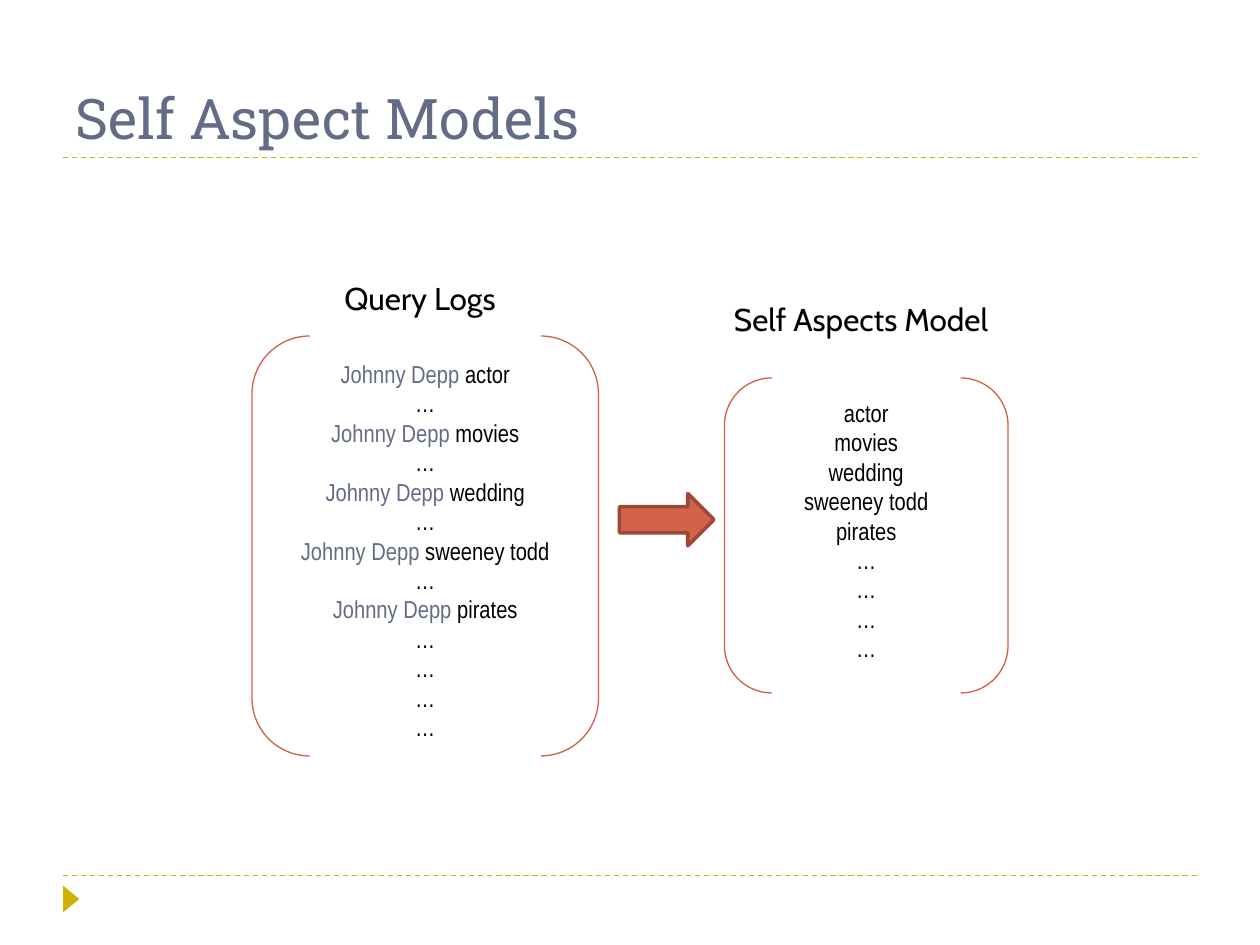
"""Build the Self Aspect Models slide: query logs reduced to an aspects model."""
from dataclasses import dataclass

import pptx
import pptx.dml.color
import pptx.enum.dml
import pptx.enum.shapes
import pptx.enum.text
import pptx.oxml
import pptx.util
from pptx.enum.shapes import MSO_SHAPE
from pptx.enum.text import MSO_ANCHOR, MSO_AUTO_SIZE, PP_ALIGN

COLUMNS, ROWS = 120, 90
WIDTH, HEIGHT = pptx.util.Inches(10), pptx.util.Inches(7.5)
ELLIPSIS = "…"
PERSON = "Johnny Depp "
ASPECTS = ("actor", "movies", "wedding", "sweeney todd", "pirates")


@dataclass(frozen=True)
class Theme:
    title_font: str = "Roboto Slab"
    label_font: str = "Cabin"
    list_font: str = "Arial Narrow"
    title_size: float = 32
    label_size: float = 18
    list_size: float = 14
    thin: float = 0.75
    thick: float = 2
    slate: str = "646B86"
    black: str = "000000"
    gold: str = "CCB400"
    bracket: str = "D05F44"
    arrow: str = "D16349"
    arrow_edge: str = "9B4936"


@dataclass(frozen=True)
class Box:
    column: float
    row: float
    columns: float
    rows: float

    def lengths(self) -> tuple[int, int, int, int]:
        """Return left, top, width and height in EMU."""
        return (
            round(WIDTH * self.column / COLUMNS),
            round(HEIGHT * self.row / ROWS),
            round(WIDTH * self.columns / COLUMNS),
            round(HEIGHT * self.rows / ROWS),
        )


@dataclass(frozen=True)
class Panel:
    label: str
    label_box: Box
    bracket_box: Box
    lines: tuple[tuple[str, str], ...]


THEME = Theme()
TITLE_BOX = Box(6, 2, 108, 13)
RULE_ROWS = (15, 83.4)
MARKER_BOX = Box(5.5, 84.85, 2.55, 1.55)
ARROW_BOX = Box(59, 47, 9, 5)
QUERY_LINES = tuple(line for aspect in ASPECTS for line in ((PERSON, aspect), ("", ELLIPSIS)))
PANELS = (
    Panel("Query Logs", Box(26, 26, 28, 4.8), Box(24, 32, 33, 40),
          QUERY_LINES + (("", ELLIPSIS),) * 3),
    Panel("Self Aspects Model", Box(68, 28, 28, 4.8), Box(69, 36, 27, 30),
          tuple(("", aspect) for aspect in ASPECTS) + (("", ELLIPSIS),) * 4),
)


def rgb(color: str) -> pptx.dml.color.RGBColor:
    """Turn a hex string into a colour."""
    return pptx.dml.color.RGBColor.from_string(color)


def style(paragraph, font: str, size: float, color: str, alignment=PP_ALIGN.CENTER) -> None:
    """Set the font and alignment of a paragraph."""
    paragraph.alignment = alignment
    paragraph.font.name = font
    paragraph.font.size = pptx.util.Pt(size)
    paragraph.font.color.rgb = rgb(color)


def add_shape(slide, kind, box: Box, fill: str = "", line: str = "", width: float = THEME.thin):
    """Add a flat preset shape with an optional fill and outline."""
    shape = slide.shapes.add_shape(kind, *box.lengths())
    shape.shadow.inherit = False
    if fill:
        shape.fill.solid()
        shape.fill.fore_color.rgb = rgb(fill)
    else:
        shape.fill.background()
    if line:
        shape.line.color.rgb = rgb(line)
        shape.line.width = pptx.util.Pt(width)
    else:
        shape.line.fill.background()
    return shape


def add_rule(slide, row: float) -> None:
    """Add a dashed line across the content width."""
    left, top, width, _ = Box(TITLE_BOX.column, row, TITLE_BOX.columns, 0).lengths()
    rule = slide.shapes.add_connector(
        pptx.enum.shapes.MSO_CONNECTOR.STRAIGHT, left, top, left + width, top)
    rule.line.color.rgb = rgb(THEME.gold)
    rule.line.width = pptx.util.Pt(THEME.thin)
    rule.line.dash_style = pptx.enum.dml.MSO_LINE.DASH
    rule._element.spPr.append(pptx.oxml.parse_xml(
        '<a:effectLst xmlns:a="http://schemas.openxmlformats.org/drawingml/2006/main"/>'))


def set_title(slide, text: str) -> None:
    """Place and format the title placeholder."""
    title = slide.shapes.title
    title.left, title.top, title.width, title.height = TITLE_BOX.lengths()
    frame = title.text_frame
    frame.text = text
    frame.auto_size = MSO_AUTO_SIZE.NONE
    frame.vertical_anchor = MSO_ANCHOR.BOTTOM
    style(frame.paragraphs[0], THEME.title_font, THEME.title_size, THEME.slate, PP_ALIGN.LEFT)


def add_panel(slide, panel: Panel) -> None:
    """Add a bracketed list with its label above."""
    bracket = add_shape(slide, MSO_SHAPE.DOUBLE_BRACKET, panel.bracket_box, line=THEME.bracket)
    frame = bracket.text_frame
    frame.word_wrap = True
    frame.vertical_anchor = MSO_ANCHOR.TOP
    for index, (person, aspect) in enumerate(panel.lines):
        paragraph = frame.add_paragraph() if index else frame.paragraphs[0]
        style(paragraph, THEME.list_font, THEME.list_size, THEME.black)
        if person:
            run = paragraph.add_run()
            run.text = person
            run.font.color.rgb = rgb(THEME.slate)
        paragraph.add_run().text = aspect
    label = slide.shapes.add_textbox(*panel.label_box.lengths()).text_frame
    label.word_wrap = True
    label.auto_size = MSO_AUTO_SIZE.SHAPE_TO_FIT_TEXT
    label.text = panel.label
    style(label.paragraphs[0], THEME.label_font, THEME.label_size, THEME.black)


def main() -> None:
    """Build and save the presentation."""
    presentation = pptx.Presentation()
    presentation.slide_width, presentation.slide_height = WIDTH, HEIGHT
    slide = presentation.slides.add_slide(presentation.slide_layouts.get_by_name("Title Only"))
    for row in RULE_ROWS:
        add_rule(slide, row)
    marker = add_shape(slide, MSO_SHAPE.ISOSCELES_TRIANGLE, MARKER_BOX, fill=THEME.gold)
    marker.rotation = 90
    set_title(slide, "Self Aspect Models")
    queries, model = PANELS
    add_panel(slide, queries)
    add_shape(slide, MSO_SHAPE.RIGHT_ARROW, ARROW_BOX, THEME.arrow, THEME.arrow_edge, THEME.thick)
    add_panel(slide, model)
    presentation.save("out.pptx")


if __name__ == "__main__":
    main()
